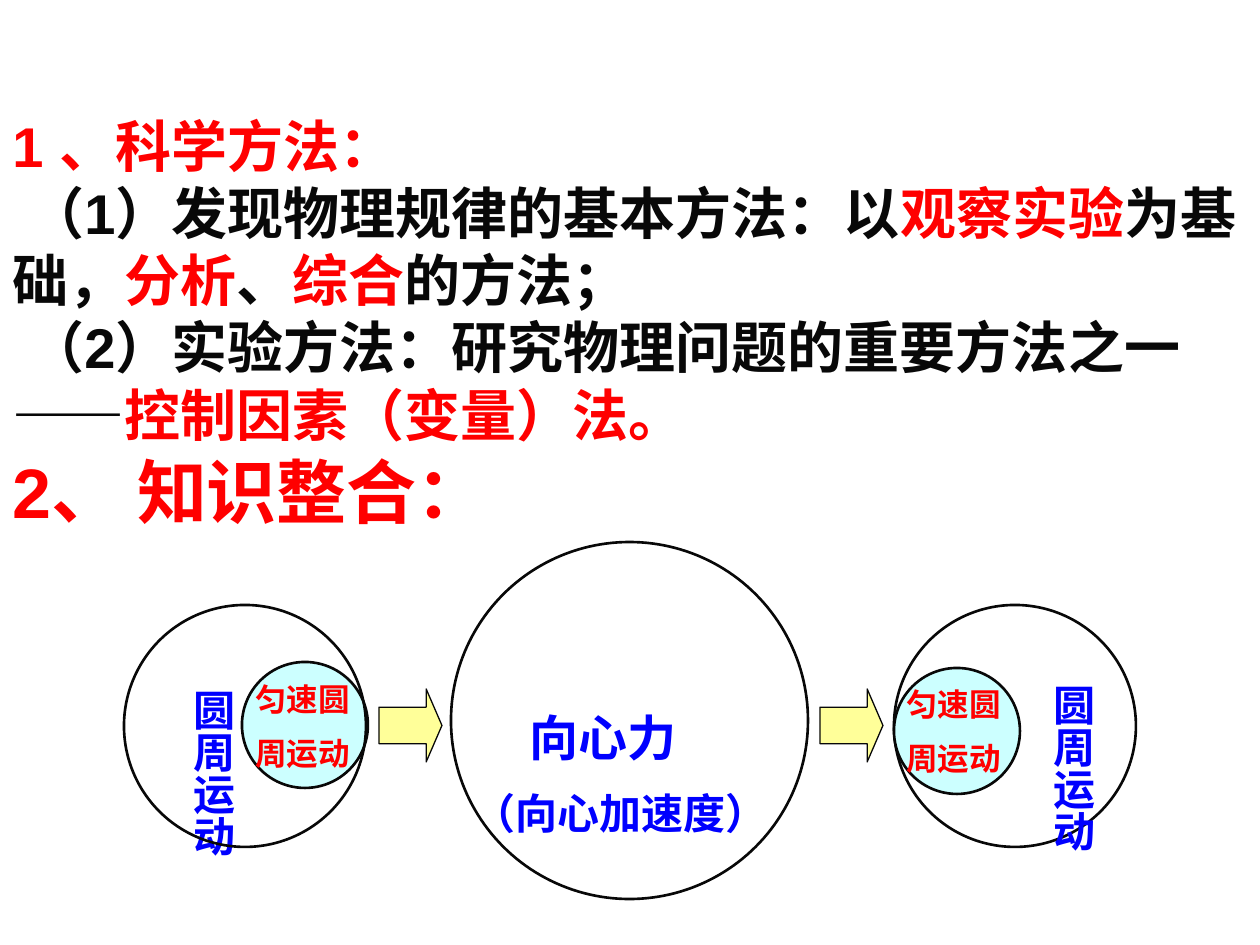
from pptx import Presentation
from pptx.dml.color import RGBColor
from pptx.enum.shapes import MSO_SHAPE
from pptx.util import Pt

PX = 914400 // 126
RED, BLACK, BLUE = "FF0000", "080808", "0000FF"
CYAN, YELLOW = "CCFFFF", "FFFF99"


def color(value):
    return RGBColor.from_string(value)


class Painter:
    """Holds the line style and the slide being drawn."""

    line_color = BLACK

    def __init__(self, slide):
        self.slide = slide

    def shape(self, kind, left, top, width, height, fill=None, line=1.5):
        shape = self.slide.shapes.add_shape(
            kind, left * PX, top * PX, width * PX, height * PX)
        shape.shadow.inherit = False
        if fill:
            shape.fill.solid()
            shape.fill.fore_color.rgb = color(fill)
        else:
            shape.fill.background()
        shape.line.color.rgb = color(self.line_color)
        shape.line.width = Pt(line)
        return shape

    def circle(self, left, top, size, fill=None):
        self.shape(MSO_SHAPE.OVAL, left, top, size, size, fill)

    def arrow(self, left, top):
        arrow = self.shape(MSO_SHAPE.RIGHT_ARROW, left, top, 63, 73, YELLOW, 0.75)
        arrow.adjustments[0] = 0.5
        arrow.adjustments[1] = 0.25

    def text(self, left, top, width, height, paragraphs, size,
             font="Times New Roman", gap=0, vertical=False):
        """Each paragraph is a list of (text, color) spans."""
        box = self.slide.shapes.add_textbox(
            left * PX, top * PX, width * PX, height * PX)
        frame = box.text_frame
        frame.word_wrap = True
        if vertical:
            frame._txBody.bodyPr.set("vert", "eaVert")
        for index, spans in enumerate(paragraphs):
            para = frame.add_paragraph() if index else frame.paragraphs[0]
            if index:
                para.space_before = Pt(gap)
            for words, shade in spans:
                span = para.add_run()
                span.text = words
                span.font.name = font
                span.font.size = Pt(size)
                span.font.bold = True
                span.font.color.rgb = color(shade)
        return frame.paragraphs

    def indent(self, para, first_line):
        para._p.get_or_add_pPr().set("indent", str(first_line * PX))


def main():
    deck = Presentation()
    deck.slide_width, deck.slide_height = 1260 * PX, 945 * PX
    painter = Painter(deck.slides.add_slide(deck.slide_layouts[6]))

    methods = [
        [("1 、科学方法：", RED)],
        [("（1）发现物理规律的基本方法：以", BLACK), ("观察实验", RED),
         ("为基础，", BLACK), ("分析", RED), ("、", BLACK), ("综合", RED),
         ("的方法；", BLACK)],
        [("（2）实验方法：研究物理问题的重要方法之一——", BLACK),
         ("控制因素（变量）法。", RED)],
    ]
    for para in painter.text(0, 105, 1260, 349, methods, 32, "Arial")[1:]:
        painter.indent(para, 16)
    painter.text(0, 442, 505, 97, [[("2、 知识整合：", RED)]], 40, "Arial")

    motion = [[("圆周运动", BLUE)]]
    uniform = [[("匀速圆", RED)], [("周运动", RED)]]
    painter.circle(242, 662, 126, CYAN)
    painter.text(168, 677, 76, 220, motion, 24, vertical=True)
    for left in (124, 894):
        painter.circle(left, 605, 242)
    painter.circle(894, 668, 126, CYAN)
    for left, top in ((243, 674), (894, 679)):
        painter.text(left, top, 126, 107, uniform, 18, gap=9)
    painter.text(1028, 672, 76, 220, motion, 24, vertical=True)

    for left in (379, 820):
        painter.arrow(left, 689)
    painter.circle(451, 542, 357)
    force, acceleration = painter.text(
        461, 701, 328, 147,
        [[("向心力", BLUE)], [("（向心加速度）", BLUE)]], 24, gap=12)
    painter.indent(force, 56)
    force.runs[0].font.size = Pt(28)

    deck.save("out.pptx")


if __name__ == "__main__":
    main()
